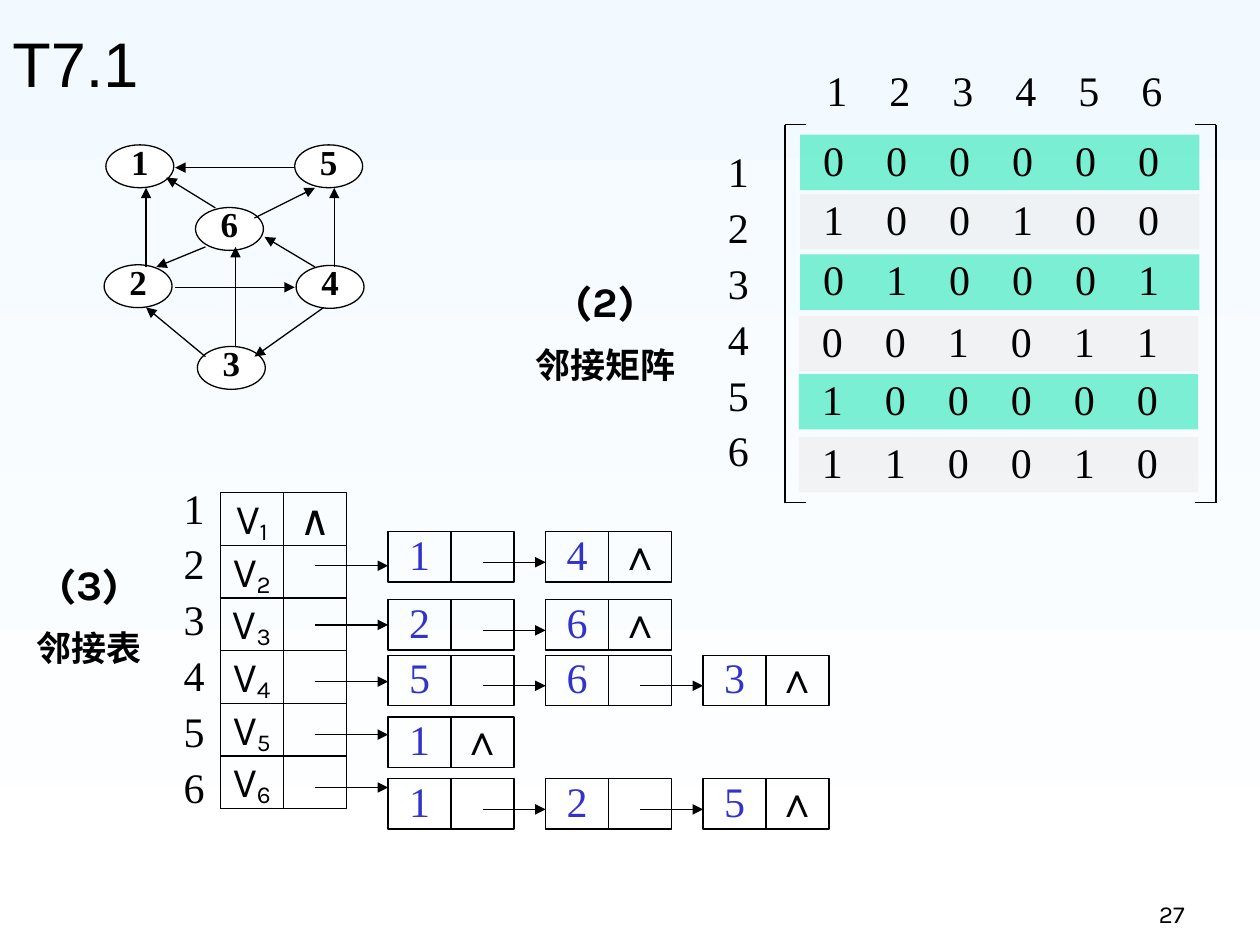
from dataclasses import dataclass

from lxml import etree
from pptx import Presentation
from pptx.dml.color import RGBColor
from pptx.enum.shapes import MSO_CONNECTOR, MSO_SHAPE
from pptx.enum.text import MSO_ANCHOR, PP_ALIGN
from pptx.oxml.ns import qn
from pptx.util import Pt

LINE = MSO_CONNECTOR.STRAIGHT
RECT, OVAL = MSO_SHAPE.RECTANGLE, MSO_SHAPE.OVAL
TOP, MIDDLE, BOTTOM = MSO_ANCHOR.TOP, MSO_ANCHOR.MIDDLE, MSO_ANCHOR.BOTTOM
LEFT, CENTER, RIGHT = PP_ALIGN.LEFT, PP_ALIGN.CENTER, PP_ALIGN.RIGHT
SERIF, SANS, TITLE = "Times New Roman", "Karla", "Arial"
COLORS = {"ink": "000000", "value": "3333CC", "oval": "FFFFFF", "sky": "F3FAFF",
          "odd": "00E4A8", "even": "EAEAEA"}
NIL = "∧"
DIGITS = "123456"
CELL_W, CELL_H, HEAD_H, NODE_STEP = 36, 28.8, 30.1, 90
HEAD_X, HEAD_Y, NODE_X = 126, 281.5, 221.8
COLUMN_STEP = 36


@dataclass
class Style:
    size: float = 24
    font: str = SERIF
    color: str = "ink"
    bold: bool = False
    baseline: int = 0


@dataclass
class Vertex:
    label: str
    x: float
    y: float


@dataclass
class Arrow:
    x1: float
    y1: float
    x2: float
    y2: float


@dataclass
class MatrixRow:
    x: float
    y: float
    values: str


@dataclass
class Chain:
    y: float
    head_y: float
    values: str


VERTICES = [Vertex("5", 168.4, 82.8), Vertex("1", 60.5, 82.8), Vertex("4", 169.2, 151.7),
            Vertex("2", 59.5, 151.3), Vertex("3", 112.8, 198), Vertex("6", 111.7, 118.6)]
EDGES = [Arrow(83.5, 152.6, 83.5, 107.3), Arrow(191, 152.6, 191, 107.3),
         Arrow(100.1, 164.2, 168.5, 164.2), Arrow(168.5, 95.8, 100.1, 95.8),
         Arrow(123.1, 118.8, 95, 101.5), Arrow(145.4, 124.6, 180, 107.3),
         Arrow(117.4, 141.1, 89.3, 152.6), Arrow(180, 152.6, 151.2, 135.4),
         Arrow(134.6, 198, 134.6, 141.1), Arrow(117.4, 203.8, 83.5, 175.7),
         Arrow(185, 175.7, 145.4, 203.8)]
MATRIX = [MatrixRow(457.2, 77, "000000"), MatrixRow(457.2, 110.9, "100100"),
          MatrixRow(457.2, 145.4, "010001"), MatrixRow(456.5, 180.7, "001011"),
          MatrixRow(456.5, 213.8, "100000"), MatrixRow(456.5, 249.8, "110010")]
CHAINS = [Chain(303.8, 323.3, "14"), Chain(342.7, 357.1, "26"), Chain(374.4, 389.5, "563"),
          Chain(409.7, 419.8, "1"), Chain(445, 450, "125")]


def rgb(name: str) -> RGBColor:
    return RGBColor.from_string(COLORS[name])


def add_run(p, text: str, style: Style) -> None:
    r = p.add_run()
    r.text = text
    r.font.size, r.font.name, r.font.bold = Pt(style.size), style.font, style.bold
    r.font.color.rgb = rgb(style.color)
    if style.baseline:
        r._r.get_or_add_rPr().set("baseline", str(style.baseline * 1000))


def write(sp, paragraphs: list, align=CENTER, anchor=MIDDLE, wrap: bool = False,
          spacing: float = 0.9, before: float = 6) -> None:
    tf = sp.text_frame
    tf.word_wrap, tf.vertical_anchor = wrap, anchor
    for i, runs in enumerate(paragraphs):
        p = tf.add_paragraph() if i else tf.paragraphs[0]
        p.alignment, p.line_spacing = align, spacing
        if i:
            p.space_before = Pt(before)
        for text, style in runs:
            add_run(p, text, style)


def add_text(s, x: float, y: float, w: float, h: float, paragraphs: list, **layout):
    sp = s.shapes.add_textbox(Pt(x), Pt(y), Pt(w), Pt(h))
    write(sp, paragraphs, **layout)
    return sp


def add_box(s, kind, x: float, y: float, w: float, h: float, fill: str = "", outline: bool = True):
    sp = s.shapes.add_shape(kind, Pt(x), Pt(y), Pt(w), Pt(h))
    sp.shadow.inherit = False
    if fill:
        sp.fill.solid()
        sp.fill.fore_color.rgb = rgb(fill)
    else:
        sp.fill.background()
    if outline:
        sp.line.color.rgb, sp.line.width = rgb("ink"), Pt(0.75)
    else:
        sp.line.fill.background()
    return sp


def add_line(s, a: Arrow, head: bool = True) -> None:
    c = s.shapes.add_connector(LINE, Pt(a.x1), Pt(a.y1), Pt(a.x2), Pt(a.y2))
    c.line.color.rgb, c.line.width = rgb("ink"), Pt(0.75)
    if head:
        etree.SubElement(c.line._get_or_add_ln(), qn("a:tailEnd"), type="triangle")
    etree.SubElement(c._element.spPr, qn("a:effectLst"))


def add_columns(sp, values: str, inset: float) -> None:
    tf = sp.text_frame
    tf.margin_left, tf.margin_right = Pt(inset), 0
    tabs = etree.SubElement(tf.paragraphs[0]._p.get_or_add_pPr(), qn("a:tabLst"))
    for i in range(1, len(values)):
        etree.SubElement(tabs, qn("a:tab"), pos=str(Pt(i * COLUMN_STEP)), algn="l")
    write(sp, [[("\t".join(values), Style())]], align=LEFT, wrap=True)


def draw_graph(s) -> None:
    for v in VERTICES:
        sp = add_box(s, OVAL, v.x, v.y, 38.8, 24.5, "oval")
        tf = sp.text_frame
        tf.margin_left = tf.margin_right = tf.margin_top = tf.margin_bottom = 0
        write(sp, [[(v.label, Style(20, bold=True))]], anchor=TOP, wrap=True, spacing=0.72)
    for edge in EDGES:
        add_line(s, edge)


def draw_matrix(s) -> None:
    for i, row in enumerate(MATRIX):
        sp = add_box(s, RECT, row.x, row.y, 228.2, 31.7, "even" if i % 2 else "odd", False)
        color = sp.fill._xPr.find(qn("a:solidFill"))[0]
        etree.SubElement(color, qn("a:alpha"), val="50000")
        add_columns(sp, row.values, 13.2)
    for x, tip in ((448.6, 460.8), (694.8, 682.6)):
        add_line(s, Arrow(x, 71.3, x, 287.3), False)
        for y in (71.3, 287.3):
            add_line(s, Arrow(x, y, tip, y), False)
    add_columns(s.shapes.add_textbox(Pt(454.3), Pt(41), Pt(228.2), Pt(23.8)), DIGITS, 18)


def draw_chain(s, chain: Chain) -> None:
    add_line(s, Arrow(180, chain.head_y, NODE_X, chain.head_y))
    for i, value in enumerate(chain.values):
        x = NODE_X + i * NODE_STEP
        sp = add_box(s, RECT, x, chain.y, CELL_W, CELL_H)
        write(sp, [[(value, Style(color="value"))]])
        pointer = add_box(s, RECT, x + CELL_W, chain.y, CELL_W, CELL_H)
        if i == len(chain.values) - 1:
            write(pointer, [[(NIL, Style())]])
        else:
            y = chain.y + 17.5
            add_line(s, Arrow(x + 1.5 * CELL_W, y, x + NODE_STEP, y))


def draw_heads(s) -> None:
    for i, digit in enumerate(DIGITS):
        y = HEAD_Y + i * HEAD_H
        sp = add_box(s, RECT, HEAD_X, y, CELL_W, HEAD_H)
        write(sp, [[("V", Style(font=SANS)), (digit, Style(font=SANS, baseline=-14))]], spacing=1)
        pointer = add_box(s, RECT, HEAD_X + CELL_W, y, CELL_W, HEAD_H)
        if i == 0:
            write(pointer, [[(NIL, Style(font=SANS))]], spacing=1)


def main() -> None:
    prs = Presentation()
    prs.slide_width, prs.slide_height = Pt(720), Pt(540)
    s = prs.slides.add_slide(prs.slide_layouts[6])
    bg = s.background.fill
    bg.gradient()
    bg.gradient_angle = 270
    for stop, name in zip(bg.gradient_stops, ("sky", "oval")):
        stop.color.rgb = rgb(name)

    add_text(s, 0, 0, 613.4, 60.5, [[("T7.1", Style(36, TITLE))]],
             align=LEFT, anchor=BOTTOM, wrap=True, spacing=1)
    draw_graph(s)
    draw_matrix(s)
    for x, y, w, number, name in ((292.3, 154.1, 107.3, "(2)", "邻接矩阵"),
                                  (0, 315.4, 102.2, "(3)", "邻接表")):
        add_text(s, x, y, w, 72, [[(number, Style(24, SANS, bold=True))],
                                  [(name, Style(20, SANS, bold=True))]],
                 anchor=TOP, wrap=True, spacing=1, before=10)
    for chain in CHAINS:
        draw_chain(s, chain)
    draw_heads(s)
    for x, y in ((95.8, 263.5), (406.8, 71.3)):
        add_text(s, x, y, 30.2, 216, [[(digit, Style())] for digit in DIGITS])
    add_text(s, 534.2, 498.2, 149.8, 36, [[("27", Style(14, SANS))]],
             align=RIGHT, anchor=BOTTOM, wrap=True, spacing=1.1)
    prs.save("out.pptx")


if __name__ == "__main__":
    main()
